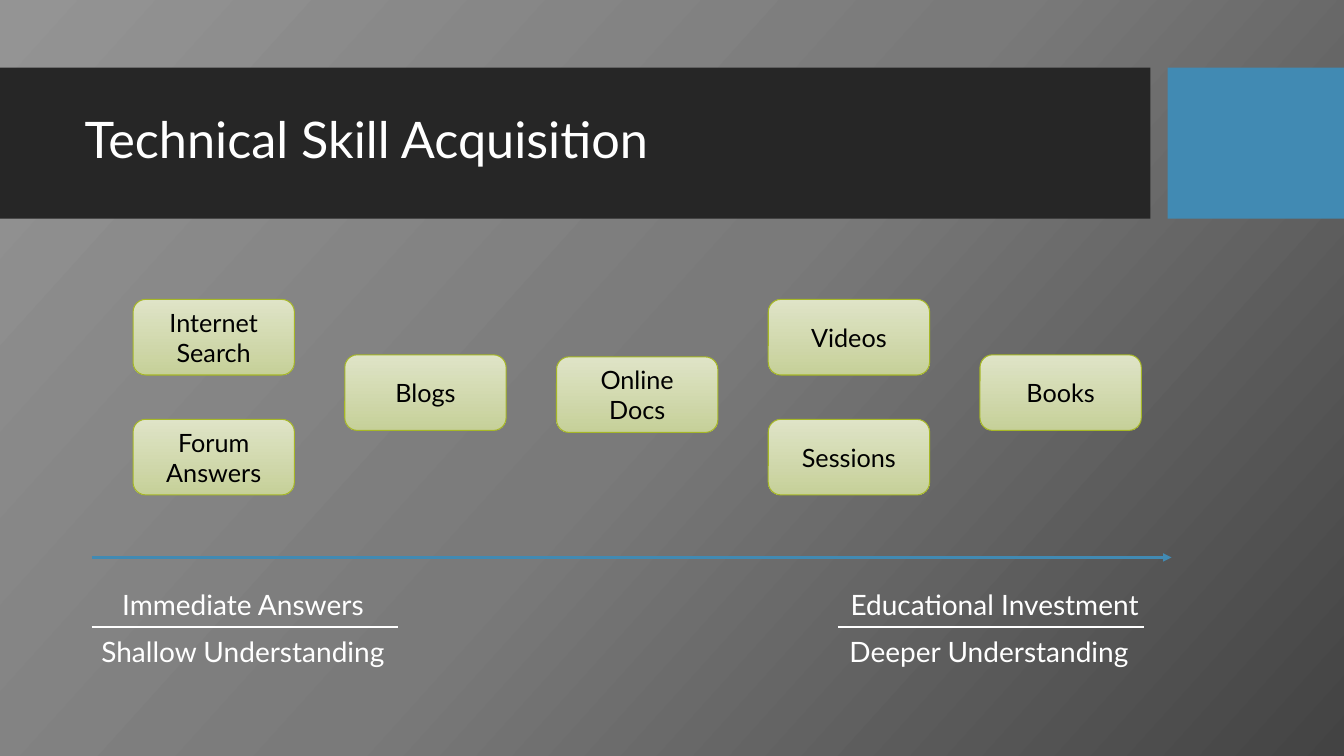
"""Build the Technical Skill Acquisition slide."""
from copy import deepcopy

from pptx import Presentation
from pptx.dml.color import RGBColor
from pptx.enum.shapes import MSO_CONNECTOR as Connector, MSO_SHAPE as Shape
from pptx.enum.text import MSO_ANCHOR as Anchor, PP_ALIGN as Align
from pptx.oxml.ns import qn
from pptx.oxml.xmlchemy import OxmlElement
from pptx.util import Inches, Pt

WHITE = RGBColor(0xFF, 0xFF, 0xFF)
BLACK = RGBColor(0x00, 0x00, 0x00)
CHARCOAL = RGBColor(0x26, 0x26, 0x26)
BLUE = RGBColor(0x41, 0x8A, 0xB3)
GREEN = RGBColor(0xA6, 0xB7, 0x27)
CARD_STOPS = [(0, RGBColor(0xDF, 0xE4, 0xC7)), (1, RGBColor(0xC6, 0xD0, 0x99))]
PAGE_STOPS = [
    (0, RGBColor(0x94, 0x94, 0x94)),
    (0.5, RGBColor(0x7A, 0x7A, 0x7A)),
    (1, RGBColor(0x43, 0x43, 0x43)),
]

TITLE = "Technical Skill Acquisition"
BANDS = [(0, 11.41, CHARCOAL), (11.58, 1.75, BLUE)]
UPPER, MIDDLE, LOWER = 2.97, 3.52, 4.16
RESOURCES = [
    [("Internet Search", UPPER), ("Forum Answers", LOWER)],
    [("Blogs", MIDDLE)],
    [("Online\nDocs", MIDDLE + 0.02)],
    [("Videos", UPPER), ("Sessions", LOWER)],
    [("Books", MIDDLE)],
]
CARD_LEFT, CARD_PITCH, CARD_WIDTH, CARD_HEIGHT = 1.32, 2.1, 1.6, 0.75
CAPTIONS = [
    ("Immediate Answers", 1.06, 5.78, 2.7),
    ("Shallow Understanding", 0.89, 6.25, 3.04),
    ("Educational Investment", 8.29, 5.78, 3.15),
    ("Deeper Understanding", 8.29, 6.25, 3.04),
]
RULES = [(0.91, 3.95), (8.31, 11.35)]
RULE_TOP = 6.22
ARROW_START, ARROW_END, ARROW_TOP = 0.91, 11.62, 5.53


def write(box, text, size, color, align=Align.CENTER, **layout):
    """Put formatted text into a shape."""
    frame = box.text_frame
    frame.text = text
    for name, value in {"word_wrap": True, **layout}.items():
        setattr(frame, name, value)
    for para in frame.paragraphs:
        para.alignment = align
        font = para.runs[0].font
        for name, value in {"name": "Lato", "size": Pt(size)}.items():
            setattr(font, name, value)
        font.color.rgb = color


def color_stops(fill, stops, angle):
    """Set the angle and colours of a gradient fill."""
    fill.gradient_angle = angle
    for stop, (position, color) in zip(fill.gradient_stops, stops):
        stop.position = position
        stop.color.rgb = color


def add_box(page, kind, left, top, width, height):
    """Add a preset shape without shadow."""
    box = page.shapes.add_shape(kind, *map(Inches, (left, top, width, height)))
    box.shadow.inherit = False
    return box


def add_line(page, start, end, top, color, width):
    """Add a horizontal line without shadow."""
    line = page.shapes.add_connector(
        Connector.STRAIGHT, *map(Inches, (start, top, end, top)))
    line.line.color.rgb = color
    line.line.width = Pt(width)
    line.element.spPr.append(OxmlElement("a:effectLst"))
    return line


def paint_background(page):
    """Fill the page with a three-colour gradient."""
    fill = page.background.fill
    fill.gradient()
    stop_list = page.element.find(".//" + qn("a:gsLst"))
    stop_list.insert(1, deepcopy(stop_list[0]))
    color_stops(fill, PAGE_STOPS, 318)


def add_header(page):
    """Draw the two bands and place the title on them."""
    for left, width, color in BANDS:
        band = add_box(page, Shape.RECTANGLE, left, 0.67, width, 1.5)
        band.fill.solid()
        band.fill.fore_color.rgb = color
        band.line.fill.background()
    title = page.shapes.title
    place = {"left": 0.74, "top": 0.82, "width": 10.51, "height": 1.18}
    for name, value in place.items():
        setattr(title, name, Inches(value))
    write(title, TITLE, 36, WHITE, Align.LEFT, vertical_anchor=Anchor.MIDDLE)
    title.text_frame.paragraphs[0].line_spacing = 0.9
    title.element.getparent().append(title.element)


def add_resources(page):
    """Draw the learning resources in evenly spaced columns."""
    for column, cards in enumerate(RESOURCES):
        left = CARD_LEFT + column * CARD_PITCH
        for text, top in cards:
            card = add_box(page, Shape.ROUNDED_RECTANGLE, left, top,
                           CARD_WIDTH, CARD_HEIGHT)
            card.fill.gradient()
            color_stops(card.fill, CARD_STOPS, 270)
            card.line.color.rgb = GREEN
            card.line.width = Pt(0.75)
            write(card, text, 18, BLACK, vertical_anchor=Anchor.MIDDLE)


def add_scale(page):
    """Draw the arrow and the captions at both ends."""
    arrow = add_line(page, ARROW_START, ARROW_END, ARROW_TOP, BLUE, 2)
    head = OxmlElement("a:tailEnd")
    head.set("type", "triangle")
    arrow.line.fill
    arrow.element.spPr.find(qn("a:ln")).append(head)
    for text, left, top, width in CAPTIONS:
        caption = page.shapes.add_textbox(
            *map(Inches, (left, top, width, 0.44)))
        write(caption, text, 20, WHITE)
    for start, end in RULES:
        add_line(page, start, end, RULE_TOP, WHITE, 1)


def main():
    """Build and save the deck."""
    deck = Presentation()
    deck.slide_width, deck.slide_height = Inches(13.33), Inches(7.5)
    page = deck.slides.add_slide(deck.slide_layouts[5])
    paint_background(page)
    add_header(page)
    add_resources(page)
    add_scale(page)
    deck.save("out.pptx")


if __name__ == "__main__":
    main()
